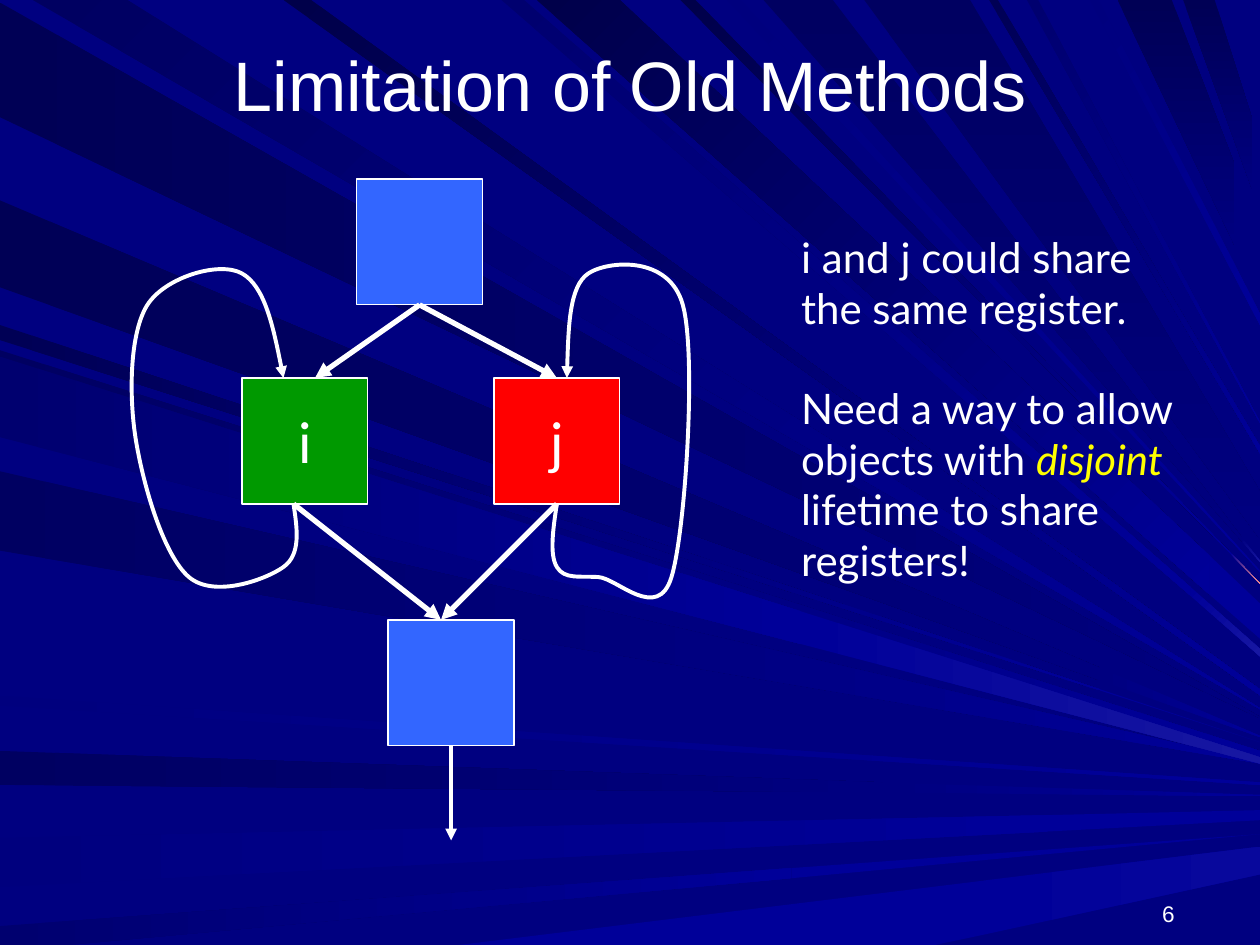
import lxml.etree
import pptx
import pptx.dml.color
import pptx.enum.shapes
import pptx.enum.text
import pptx.oxml.ns
import pptx.util

color = pptx.dml.color.RGBColor.from_string
ALIGN = pptx.enum.text.PP_ALIGN
ANCHOR = pptx.enum.text.MSO_ANCHOR
qn = pptx.oxml.ns.qn

EMU_PER_PX = 9144
WIDTH, HEIGHT = 1000, 750
BOX = 100

WHITE = color("FFFFFF")
YELLOW = color("FFFF00")
BLUE = color("3366FF")
GREEN = color("009900")
RED = color("FF0000")
INK = color("00004A")
MIDNIGHT = color("000055")
DEEP = color("000061")
DUSK = color("00006F")
DIM = color("00007E")
NAVY = color("000080")
ROYAL = color("000099")
GLOW = color("1717A2")
FAINT_GLOW = color("08089C")
PINK = color("FF9999")

RAYS = [
    ("left", 2, 93, 569, 570, MIDNIGHT, NAVY),
    ("top", 101, 26, 562, 563, DEEP, ROYAL),
    ("left", 596, 623, 631, 632, DEEP, NAVY, 701, ROYAL),
    ("left", 665, 704, 643, 651, DIM, ROYAL, 831, ROYAL),
    ("left", 735, 755, 662, 662, DUSK, ROYAL, 628, ROYAL),
    ("bottom", 364, 742, 672, 694, ROYAL, ROYAL, 780, FAINT_GLOW),
    ("left", 258, 270, 589, 589, MIDNIGHT, ROYAL, 873, ROYAL),
    ("left", 159, 228, 584, 585, MIDNIGHT, NAVY, 873, ROYAL),
    ("top", 398, 416, 521, 515, DUSK, ROYAL, 945, GLOW),
    ("top", 426, 492, 507, 479, INK, ROYAL, 960, ROYAL),
    ("top", 540, 552, 463, 463, INK, ROYAL, 977, PINK),
    ("top", 606, 661, 446, 445, DEEP, NAVY, 986, GLOW),
    ("top", 887, 930, 237, 183, MIDNIGHT, NAVY, 980, NAVY),
    ("top", 939, 964, 167, 114, MIDNIGHT, NAVY, 994, NAVY),
    ("left", 278, 342, 596, 602, DEEP, ROYAL),
    ("left", 374, 437, 605, 606, DEEP, ROYAL),
    ("left", 552, 560, 621, 623, DIM, ROYAL),
    ("top", 225, 247, 552, 547, INK, ROYAL),
    ("top", 577, 588, 454, 453, DIM, ROYAL),
    ("top", 686, 770, 428, 390, DEEP, NAVY),
    ("top", 785, 792, 360, 354, MIDNIGHT, ROYAL),
    ("top", 815, 824, 336, 335, DUSK, ROYAL),
    ("top", 865, 872, 258, 249, DIM, ROYAL),
    ("left", 283, 347, 601, 606, DUSK, ROYAL, 635, GLOW),
]

LOOPS = [
    [(233, 400), (225, 450), (150, 458), (108, 350), (117, 242), (192, 217), (225, 300)],
    [(442, 400), (442, 450), (475, 458), (533, 458), (542, 242), (467, 217), (450, 300)],
]

BLOCKS = [
    (283, 142, BLUE, ""),
    (192, 300, GREEN, "i"),
    (392, 300, RED, "j"),
    (308, 492, BLUE, ""),
]

FORK, LEFT_EXIT, RIGHT_EXIT, JOIN = (333, 242), (233, 400), (442, 400), (350, 492)
EDGES = [
    (FORK, (250, 300), 3),
    (FORK, (442, 300), 3),
    (LEFT_EXIT, JOIN, 3),
    (RIGHT_EXIT, JOIN, 3),
    ((358, 592), (358, 667), 2.25),
]

REMARKS = [
    [["i and j could share"], ["the same register."]],
    [["Need a way to allow"], ["objects with ", "disjoint"], ["lifetime to share"], ["registers!"]],
]


def px(length):
    return pptx.util.Emu(length * EMU_PER_PX)


def between(start, end, share):
    return tuple(round(a + (b - a) * share) for a, b in zip(start, end))


def at_x(start, end, x):
    return between(start, end, (x - start[0]) / (end[0] - start[0]))


def smooth_controls(knots):
    tangents = [between((0, 0), (after[0] - before[0], after[1] - before[1]), 1 / 6)
                for before, after in zip(knots, knots[2:])]
    arrivals = [(x - dx, y - dy) for (x, y), (dx, dy) in zip(knots[1:], tangents)]
    departures = [(x + dx, y + dy) for (x, y), (dx, dy) in zip(knots[1:], tangents)]
    departures.insert(0, between(knots[0], arrivals[0], 0.5))
    arrivals.append(between(departures[-1], knots[-1], 0.5))
    points = [knots[0]]
    for triple in zip(departures, arrivals, knots[1:]):
        points.extend(triple)
    return points


def write(paragraph, text, size=24, font="Lato", fill=WHITE, italic=False, align=ALIGN.LEFT):
    paragraph.alignment = align
    run = paragraph.add_run()
    run.text = text
    run.font.size = pptx.util.Pt(size)
    run.font.name = font
    run.font.color.rgb = fill
    run.font.italic = italic


class Sketch:
    def __init__(self, slide, line_color=WHITE):
        self.slide = slide
        self.line_color = line_color

    def stroke(self, shape, width, arrow=False):
        shape.line.color.rgb = self.line_color
        shape.line.width = pptx.util.Pt(width)
        if arrow:
            outline = shape.element.spPr.find(qn("a:ln"))
            lxml.etree.SubElement(outline, qn("a:tailEnd"), type="triangle")

    def polygon(self, points, close):
        builder = self.slide.shapes.build_freeform(*points[0], scale=EMU_PER_PX)
        builder.add_line_segments(points[1:], close=close)
        shape = builder.convert_to_shape()
        shape.shadow.inherit = False
        return shape

    def band(self, points, start, end, angle):
        shape = self.polygon(points, True)
        shape.line.fill.background()
        if start == end:
            shape.fill.solid()
            shape.fill.fore_color.rgb = start
            return
        shape.fill.gradient()
        shape.fill.gradient_angle = -angle % 360
        for stop, shade in zip(shape.fill.gradient_stops, (start, end)):
            stop.color.rgb = shade

    def ray(self, side, first, second, first_tip, second_tip, start, end, cut=WIDTH, far=None):
        place = {"left": lambda s: (0, s), "top": lambda s: (s, 0), "bottom": lambda s: (s, HEIGHT)}[side]
        near = [place(first), place(second)]
        tips = [(WIDTH, first_tip), (WIDTH, second_tip)]
        middle = [at_x(root, tip, cut) for root, tip in zip(near, tips)]
        angle = 0 if side != "top" else 90 if end == NAVY else 45
        self.band(near + middle[::-1], start, end, angle)
        if far is not None:
            self.band(middle + tips[::-1], end, far, angle)

    def loop(self, knots):
        shape = self.polygon(smooth_controls(knots), False)
        shape.fill.background()
        self.stroke(shape, 2.25, arrow=True)
        outline = shape.element.spPr.find(".//" + qn("a:path"))
        segments = outline.findall(qn("a:lnTo"))
        for first in range(0, len(segments), 3):
            curve = lxml.etree.SubElement(outline, qn("a:cubicBezTo"))
            for segment in segments[first:first + 3]:
                curve.append(segment[0])
                outline.remove(segment)

    def block(self, left, top, fill, label):
        shape = self.slide.shapes.add_shape(
            pptx.enum.shapes.MSO_SHAPE.RECTANGLE, px(left), px(top), px(BOX), px(BOX))
        shape.shadow.inherit = False
        shape.fill.solid()
        shape.fill.fore_color.rgb = fill
        self.stroke(shape, 0.75)
        if label:
            shape.text_frame.vertical_anchor = ANCHOR.MIDDLE
            write(shape.text_frame.paragraphs[0], label, size=32, align=ALIGN.CENTER)

    def edge(self, begin, end, width):
        line = self.slide.shapes.add_connector(
            pptx.enum.shapes.MSO_CONNECTOR.STRAIGHT, *map(px, begin + end))
        self.stroke(line, width, arrow=True)
        lxml.etree.SubElement(line.element.spPr, qn("a:effectLst"))

    def title(self, text, left, top, width, height):
        heading = self.slide.shapes.title
        heading.left, heading.top, heading.width, heading.height = map(px, (left, top, width, height))
        heading.text_frame.vertical_anchor = ANCHOR.MIDDLE
        heading.text_frame.auto_size = pptx.enum.text.MSO_AUTO_SIZE.NONE
        write(heading.text_frame.paragraphs[0], text, size=40, font="Arial", align=ALIGN.CENTER)
        heading.element.getparent().append(heading.element)

    def text_box(self, left, top, width, height, anchor=ANCHOR.TOP):
        frame = self.slide.shapes.add_textbox(*map(px, (left, top, width, height))).text_frame
        frame.word_wrap = True
        frame.vertical_anchor = anchor
        return frame

    def remarks(self, groups, left, top, width, height):
        frame = self.text_box(left, top, width, height)
        paragraph = frame.paragraphs[0]
        for group_index, lines in enumerate(groups):
            for line_index, parts in enumerate(lines):
                if group_index or line_index:
                    paragraph = frame.add_paragraph()
                if group_index and not line_index:
                    paragraph.space_before = pptx.util.Pt(28.8)
                for part in parts:
                    stressed = part == "disjoint"
                    write(paragraph, part, fill=YELLOW if stressed else WHITE, italic=stressed)


def main():
    deck = pptx.Presentation()
    deck.slide_width, deck.slide_height = px(WIDTH), px(HEIGHT)
    slide = deck.slides.add_slide(deck.slide_layouts[5])
    slide.background.fill.solid()
    slide.background.fill.fore_color.rgb = NAVY
    sketch = Sketch(slide)
    for ray in RAYS:
        sketch.ray(*ray)
    page_number = sketch.text_box(875, 708, 67, 33, anchor=ANCHOR.BOTTOM)
    write(page_number.paragraphs[0], "6", size=12.9, font="Arial", align=ALIGN.RIGHT)
    sketch.title("Limitation of Old Methods", 50, 25, 900, 83)
    for block in BLOCKS:
        sketch.block(*block)
    for loop in LOOPS:
        sketch.loop(loop)
    for edge in EDGES:
        sketch.edge(*edge)
    sketch.remarks(REMARKS, 626, 179, 333, 290)
    deck.save("out.pptx")


if __name__ == "__main__":
    main()
